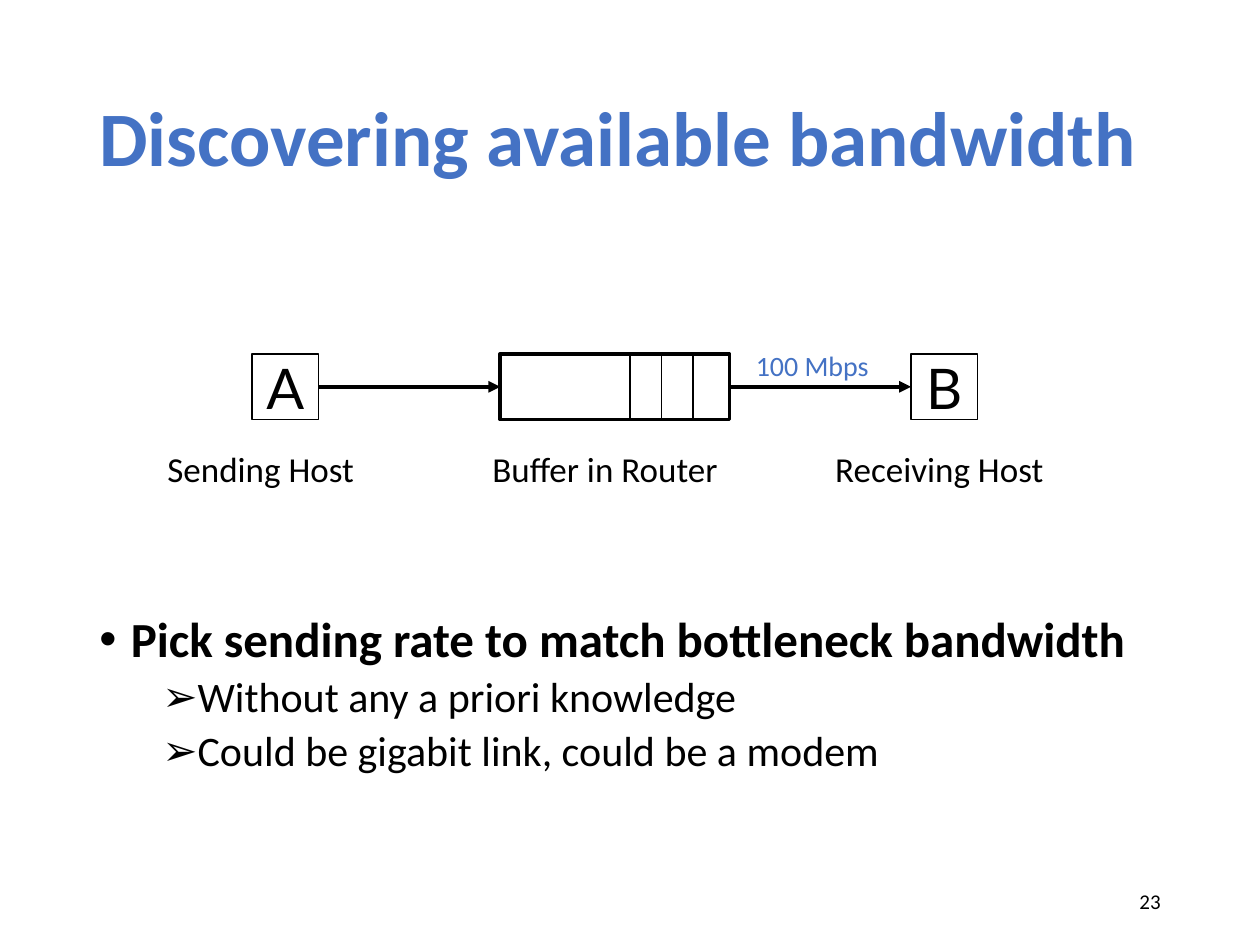
from lxml import etree
from pptx import Presentation
from pptx.dml.color import RGBColor
from pptx.enum.shapes import MSO_CONNECTOR, MSO_SHAPE
from pptx.enum.text import MSO_ANCHOR, PP_ALIGN
from pptx.oxml.ns import qn
from pptx.util import Inches, Pt

RECT = MSO_SHAPE.RECTANGLE
STRAIGHT = MSO_CONNECTOR.STRAIGHT
MIDDLE = MSO_ANCHOR.MIDDLE
CENTER, RIGHT = PP_ALIGN.CENTER, PP_ALIGN.RIGHT
LEFT_SIDE, RIGHT_SIDE = 1, 3

COLORS = {"ink": "000000", "accent": "4472C4", "paper": "FFFFFF"}

# Grid of 100 columns and 75 rows
SLIDE_W, SLIDE_H = Inches(10), Inches(7.5)
COLUMN, ROW = SLIDE_W / 100, SLIDE_H / 75
MARGIN, CONTENT_W = 6.9, 86.2
NODE_TOP, NODE_H, HOST_W = 28.1, 5.2, 5.3


def cols(count):
    return round(count * COLUMN)


def rows(count):
    return round(count * ROW)


def place(left, top, width, height):
    return cols(left), rows(top), cols(width), rows(height)


def color(name):
    return RGBColor.from_string(COLORS[name])


def apply(target, values):
    for attribute, value in values.items():
        setattr(target, attribute, value)


def write(paragraph, text, size, ink="ink", font="Calibri", bold=False, **layout):
    apply(paragraph, layout)
    run = paragraph.add_run()
    run.text = text
    apply(run.font, {"name": font, "size": Pt(size), "bold": bold})
    run.font.color.rgb = color(ink)


def add_text(slide, box, text, size, frame=None, **style):
    text_frame = slide.shapes.add_textbox(*place(*box)).text_frame
    apply(text_frame, {"word_wrap": True, **(frame or {})})
    write(text_frame.paragraphs[0], text, size, **style)


def add_bullet(paragraph, mark, indent):
    properties = paragraph._p.get_or_add_pPr()
    properties.set("marL", str(Inches(indent)))
    properties.set("indent", str(-Inches(0.25)))
    etree.SubElement(properties, qn("a:buFont")).set("typeface", "Arial")
    etree.SubElement(properties, qn("a:buChar")).set("char", mark)


def add_points(slide, box, points):
    text_frame = slide.shapes.add_textbox(*place(*box)).text_frame
    text_frame.word_wrap = True
    for index, (text, level) in enumerate(points):
        paragraph = text_frame.add_paragraph() if index else text_frame.paragraphs[0]
        add_bullet(paragraph, "•➢"[level], (0.25, 0.75)[level])
        write(paragraph, text, (28, 24)[level], bold=level == 0, level=level,
              line_spacing=0.9, space_before=Pt(5 if index else 0))


def add_node(slide, left, width, line_width, letter=None):
    node = slide.shapes.add_shape(RECT, *place(left, NODE_TOP, width, NODE_H))
    node.shadow.inherit = False
    node.fill.solid()
    node.fill.fore_color.rgb = color("paper")
    node.line.color.rgb = color("ink")
    node.line.width = Pt(line_width)
    if letter:
        apply(node.text_frame, {
            "word_wrap": False, "vertical_anchor": MIDDLE,
            "margin_left": Inches(0.06), "margin_right": Inches(0.06),
            "margin_top": Inches(0.03), "margin_bottom": Inches(0.03)})
        write(node.text_frame.paragraphs[0], letter, 32, font="Lato", alignment=CENTER)
    return node


def add_line(slide, start, end, width):
    line = slide.shapes.add_connector(STRAIGHT, *start, *end)
    line.line.color.rgb = color("ink")
    line.line.width = Pt(width)
    etree.SubElement(line._element.spPr, qn("a:effectLst"))
    return line


def add_link(slide, source, target):
    link = add_line(slide, (0, 0), (0, 0), 2.25)
    link.begin_connect(source, RIGHT_SIDE)
    link.end_connect(target, LEFT_SIDE)
    etree.SubElement(link.line._get_or_add_ln(), qn("a:tailEnd")).set("type", "triangle")


def main():
    presentation = Presentation()
    apply(presentation, {"slide_width": SLIDE_W, "slide_height": SLIDE_H})
    slide = presentation.slides.add_slide(presentation.slide_layouts[6])

    # Title
    add_text(slide, (MARGIN, 4, CONTENT_W, 14.5), "Discovering available bandwidth", 44,
             {"vertical_anchor": MIDDLE}, ink="accent", bold=True, line_spacing=0.9)

    # Key points
    add_points(slide, (MARGIN, 48.3, CONTENT_W, 19.3), [
        ("Pick sending rate to match bottleneck bandwidth", 0),
        ("Without any a priori knowledge", 1),
        ("Could be gigabit link, could be a modem", 1)])

    # Link speed and captions
    no_wrap = {"word_wrap": False}
    add_text(slide, (59, 27.2, 11.1, 3.7), "100 Mbps", 16, no_wrap, ink="accent")
    for left, width, caption in [(12.3, 18.8, "Sending Host"),
                                 (38.1, 21.6, "Buffer in Router"),
                                 (65.3, 20.9, "Receiving Host")]:
        add_text(slide, (left, 35, width, 4.3), caption, 20, no_wrap)

    # Hosts, router buffer and links
    sender = add_node(slide, 20, HOST_W, 0.75, "A")
    router = add_node(slide, 39.7, 18.2, 2.25)
    receiver = add_node(slide, 72.3, HOST_W, 0.75, "B")
    add_link(slide, sender, router)
    add_link(slide, router, receiver)

    # Packets queued in the buffer
    for slot in range(3):
        x = cols(50 + 2.5 * slot)
        add_line(slide, (x, rows(NODE_TOP)), (x, rows(NODE_TOP + NODE_H)), 1)

    # Slide number
    add_text(slide, (70.6, 69.5, 22.5, 4), "23", 12,
             {"vertical_anchor": MIDDLE}, alignment=RIGHT)

    presentation.save("out.pptx")


if __name__ == "__main__":
    main()
